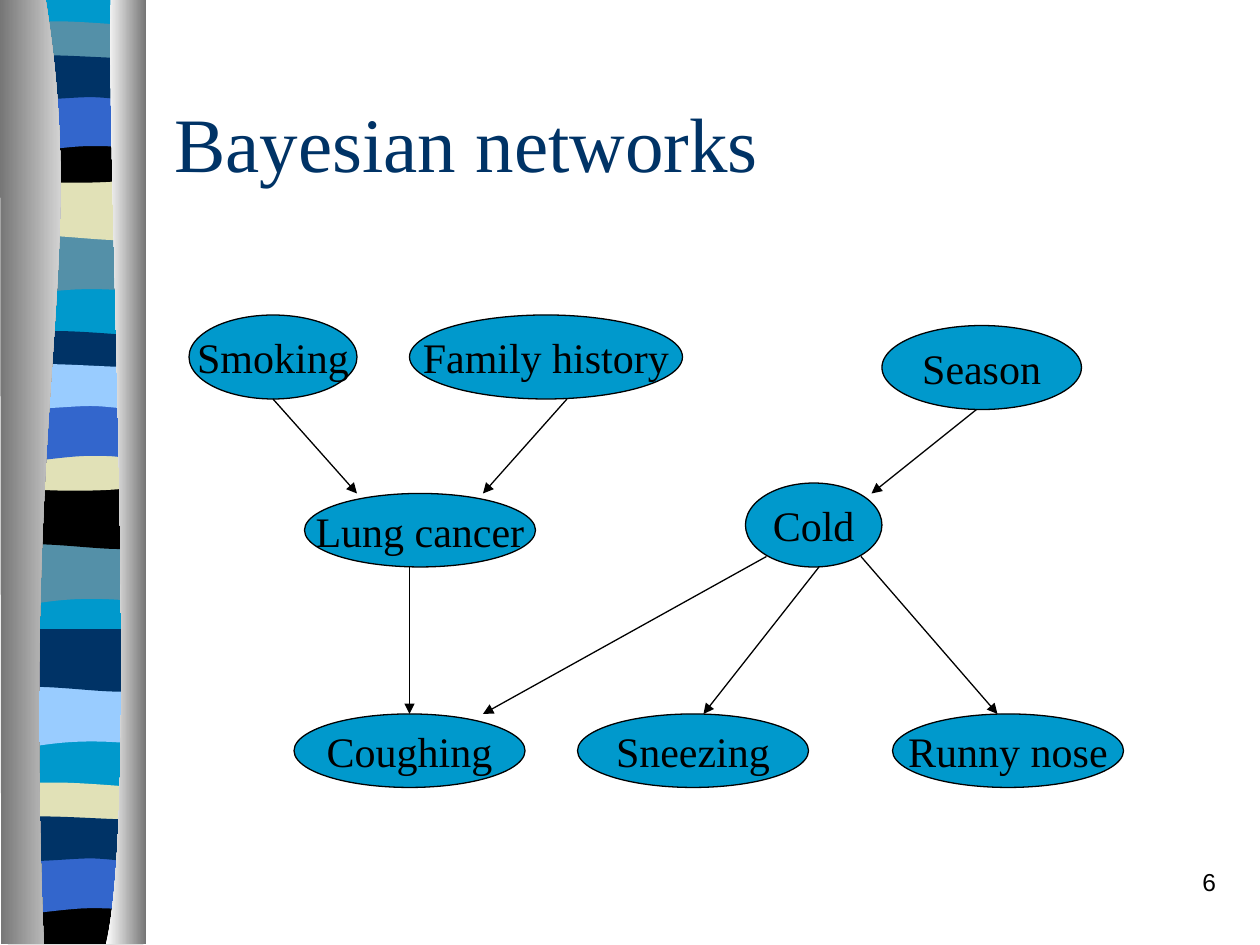
from lxml import etree
from pptx import Presentation
from pptx.dml.color import RGBColor
from pptx.enum import shapes, text
from pptx.oxml import ns
from pptx.util import Pt

COLORS = {
    "cyan": "0099CC", "teal": "5490A8", "sand": "E1E1B7", "black": "000000",
    "blue": "3366CC", "navy": "003366", "sky": "99CCFF",
    "grey": "767676", "white": "FFFFFF",
}
SERIF = "Times New Roman"

# Outlines: a pair is a corner, six numbers are a Bezier segment.
BANDS = {
    "base": [(78, 0), (78, 538.5), (0, 538.5), (0, 0)],
    "dip": [(78, 0), (78, 0, 78, 34, 78, 34), (24, 28, 13, 39.5, 0, 34), (0, 0)],
    "swell": [(78, 0), (78, 34), (65, 39.5, 24, 30, 0, 34), (0, 0)],
    "thin": [(78, 3.6), (78, 21), (65, 24, 13, 24, 0, 21), (0, 3.6),
             (4.5, 0, 17, 0.7, 29.5, 0.7), (42.5, 0.7, 67.5, 2.9, 78, 3.6)],
    "bowl": [(78, 0), (78, 23.4), (65, 27.4, 13, 27.4, 0, 23.4), (0, 0),
             (47.5, 3.6, 61, 0, 78, 0)],
    "foot": [(78, 0), (78, 27), (0.5, 27), (0, 0), (47.5, 3.6, 61, 0, 78, 0)],
    "arch": [(78, 0), (78, 0, 78, 34, 78, 34), (65.5, 30, 60.5, 30, 47.5, 30),
             (34.5, 30, 11.5, 34, 0, 34), (0, 0)],
    "wave": [(78, 3.6), (78, 26), (73, 29.5, 60.5, 26, 47.5, 26),
             (34.5, 26, 8, 29.5, 0, 26), (0, 3.6),
             (11, 0, 52.5, 3.6, 65.5, 3.6), (78.5, 3.6, 75.5, 3.6, 78, 3.6)],
}
RIBBON = [  # band, top, colour, from back to front
    ("base", -0.5, "cyan"),
    ("dip", 133, "teal"), ("swell", 101.5, "sand"), ("thin", 11.5, "teal"),
    ("bowl", 78, "black"), ("arch", 53.5, "blue"), ("wave", 29.5, "navy"),
    ("dip", 310, "teal"), ("swell", 278, "black"), ("thin", 188.5, "navy"),
    ("bowl", 254, "sand"), ("arch", 230.5, "blue"), ("wave", 206, "sky"),
    ("dip", 391.5, "sky"), ("swell", 359.5, "navy"), ("thin", 446.5, "sand"),
    ("foot", 512.5, "black"), ("arch", 489, "blue"), ("wave", 464.5, "navy"),
]
COLUMNS = [  # outline, left colour, right colour
    ([(26, -0.5), (51, 155.5, 12, 213, 25, 539.5), (0.7, 539.5), (0, -0.5)],
     "grey", "white"),
    ([(63.4, -0.5), (60.5, 90, 80, 465, 60.5, 539.5), (83.5, 539.5), (83.5, 0)],
     "white", "grey"),
]
NODES = [  # label, left, top, width, height
    ("Family history", 234, 180, 156, 48),
    ("Cold", 426, 276, 78, 48),
    ("Lung cancer", 174, 282, 132, 42),
    ("Smoking", 108, 180, 96, 48),
    ("Coughing", 168, 408, 132, 42),
    ("Sneezing", 330, 408, 132, 42),
    ("Runny nose", 510, 408, 132, 42),
    ("Season", 504, 186, 114, 48),
]
CAUSE_TO_COUGH = (234, 324, 234, 408)
ARROWS = [
    (156, 228, 204, 282),
    (324, 228, 276, 282),
    (558, 234, 498, 282),
    (438, 318, 276, 408),
    (468, 324, 402, 408),
    (492, 318, 570, 408),
]


def rgb(name):
    return RGBColor.from_string(COLORS[name])


def bend(sp, outline):
    """Merge each run of three lines that stands for a Bezier segment."""
    lines = iter(sp._element.findall(".//" + ns.qn("a:lnTo")))
    for seg in outline[1:]:
        first = next(lines)
        if len(seg) == 2:
            continue
        curve = etree.Element(ns.qn("a:cubicBezTo"))
        first.addprevious(curve)
        for line in (first, next(lines), next(lines)):
            curve.append(line[0])
            line.getparent().remove(line)


def add_outline(group, outline, left=0, top=0):
    points = [(Pt(left + x), Pt(top + y))
              for seg in outline for x, y in zip(seg[::2], seg[1::2])]
    builder = group.shapes.build_freeform(*points[0], scale=1.0)
    builder.add_line_segments(points[1:], close=True)
    sp = builder.convert_to_shape()
    bend(sp, outline)
    sp.shadow.inherit = False
    sp.line.fill.background()
    return sp


def add_band(group, band, top, color):
    sp = add_outline(group, BANDS[band], 4, top)
    sp.fill.solid()
    sp.fill.fore_color.rgb = rgb(color)


def add_column(group, outline, *colors):
    fill = add_outline(group, outline).fill
    fill.gradient()
    fill.gradient_angle = 0
    for stop, color in zip(fill.gradient_stops, colors):
        stop.color.rgb = rgb(color)


def format_text(p, size, color, font, align):
    p.alignment = align
    for r in p.runs:
        r.font.size = Pt(size)
        r.font.name = font
        r.font.color.rgb = rgb(color)


def add_title(s, label):
    sp = s.shapes.title
    sp.left, sp.top, sp.width, sp.height = Pt(92.4), Pt(36), Pt(612), Pt(90)
    tf = sp.text_frame
    tf.text = label
    tf.vertical_anchor = text.MSO_ANCHOR.MIDDLE
    format_text(tf.paragraphs[0], 44, "navy", SERIF, text.PP_ALIGN.LEFT)


def add_node(s, label, *box):
    sp = s.shapes.add_shape(shapes.MSO_SHAPE.OVAL, *map(Pt, box))
    sp.shadow.inherit = False
    sp.fill.solid()
    sp.fill.fore_color.rgb = rgb("cyan")
    sp.line.color.rgb = rgb("black")
    sp.line.width = Pt(0.75)
    tf = sp.text_frame
    tf.text = label
    tf.word_wrap = False
    tf.vertical_anchor = text.MSO_ANCHOR.MIDDLE
    format_text(tf.paragraphs[0], 24, "black", SERIF, text.PP_ALIGN.CENTER)
    return sp


def add_arrow(s, *ends):
    cx = s.shapes.add_connector(shapes.MSO_CONNECTOR.STRAIGHT, *map(Pt, ends))
    cx.line.color.rgb = rgb("black")
    cx.line.width = Pt(0.75)
    etree.SubElement(cx.line._get_or_add_ln(), ns.qn("a:tailEnd"), type="triangle")
    etree.SubElement(cx._element.spPr, ns.qn("a:effectLst"))
    return cx


def add_page_number(s, number):
    tf = s.shapes.add_textbox(Pt(552), Pt(492), Pt(150), Pt(36)).text_frame
    tf.word_wrap = True
    tf.text = number
    p = tf.paragraphs[0]
    p.space_before = Pt(8.8)
    format_text(p, 14, "black", "Arial", text.PP_ALIGN.RIGHT)


def main():
    prs = Presentation()
    prs.slide_width, prs.slide_height = Pt(720), Pt(540)
    s = prs.slides.add_slide(prs.slide_layouts[5])
    ornament = s.shapes.add_group_shape()
    for band in RIBBON:
        add_band(ornament, *band)
    for column in COLUMNS:
        add_column(ornament, *column)
    add_title(s, "Bayesian networks")
    nodes = {node[0]: add_node(s, *node) for node in NODES}
    add_arrow(s, *CAUSE_TO_COUGH).end_connect(nodes["Coughing"], 0)
    for arrow in ARROWS:
        add_arrow(s, *arrow)
    add_page_number(s, "6")
    prs.save("out.pptx")


if __name__ == "__main__":
    main()
